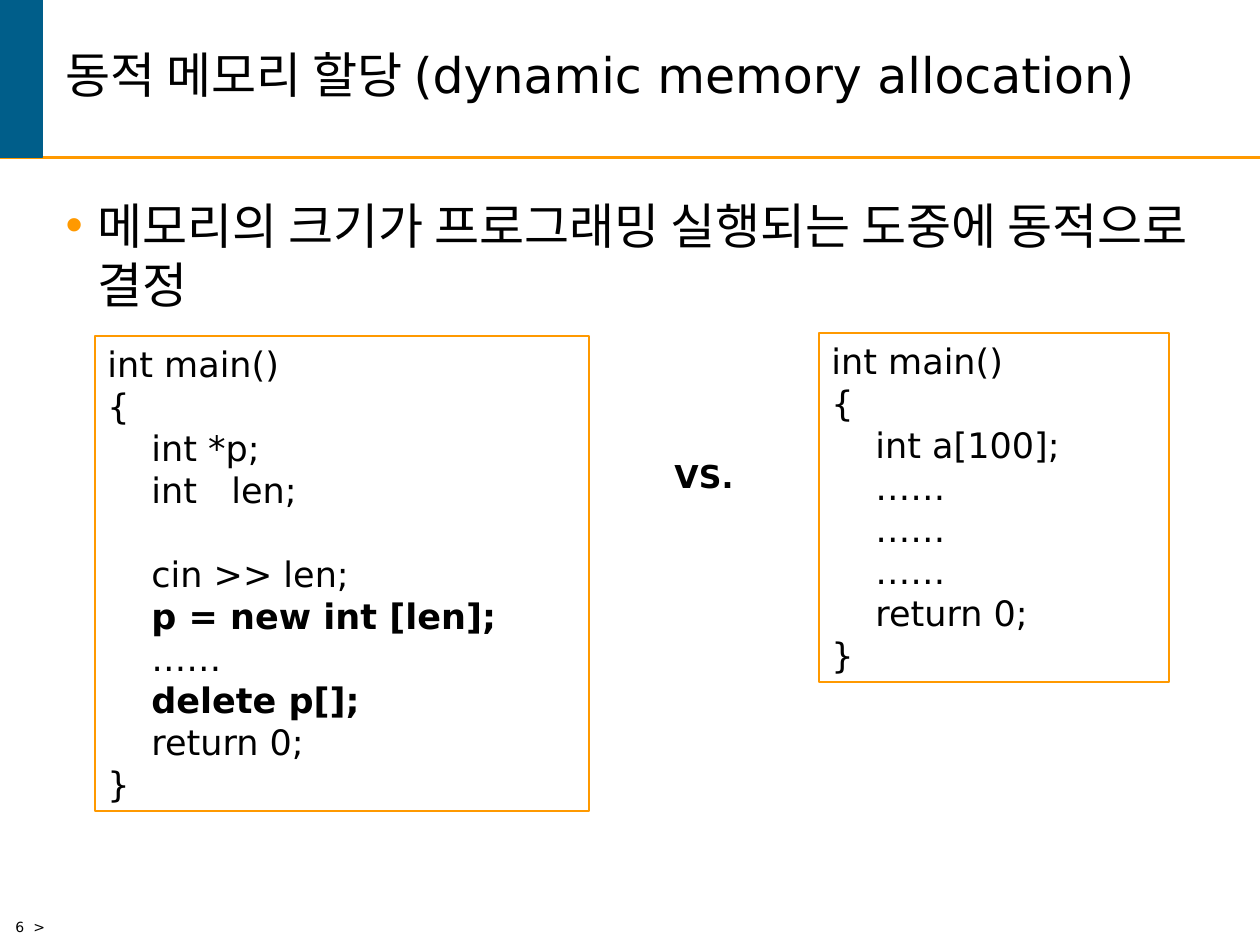
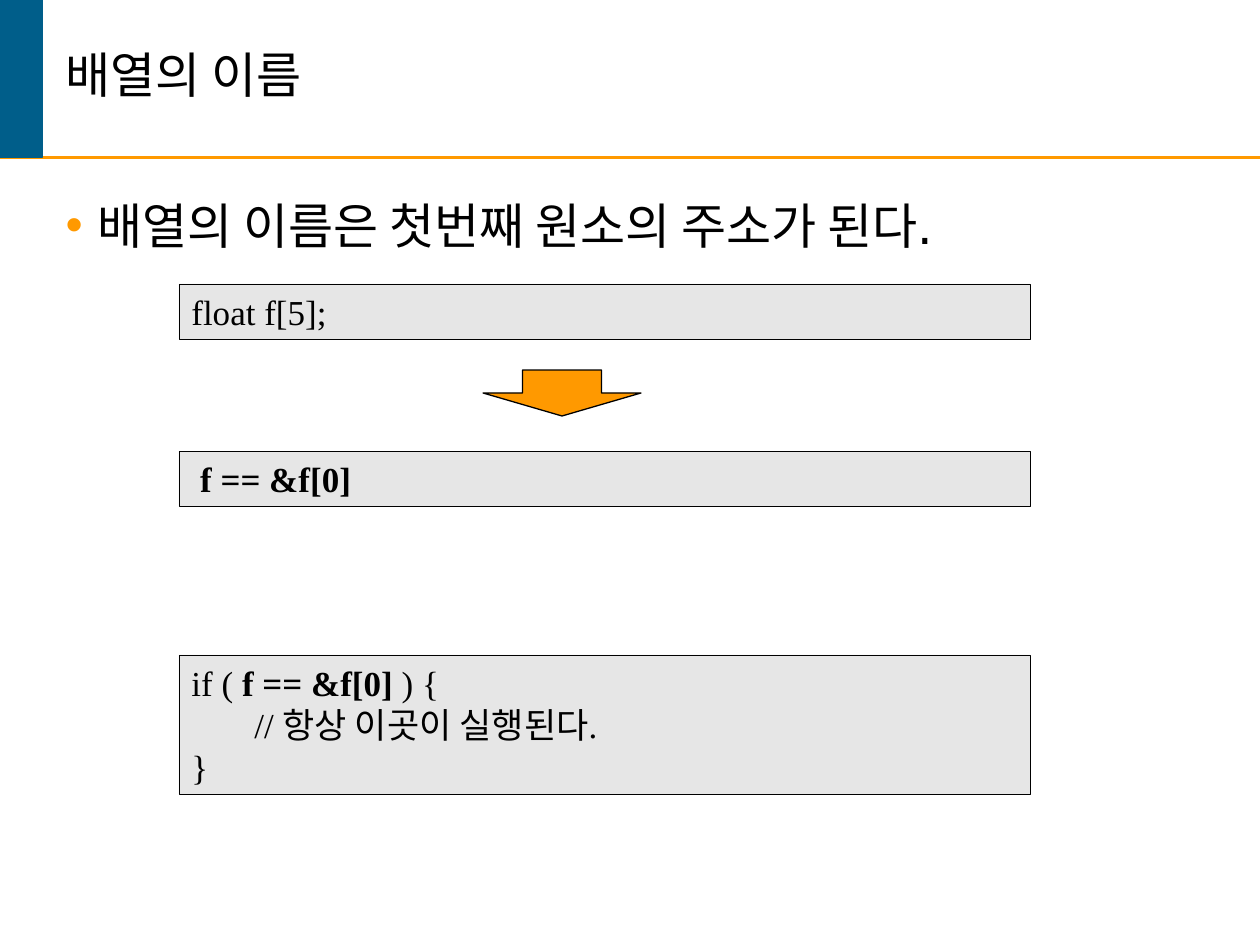
from pptx import Presentation
from pptx.dml.color import RGBColor
from pptx.enum.shapes import MSO_CONNECTOR, MSO_SHAPE
from pptx.enum.text import MSO_ANCHOR, MSO_AUTO_SIZE, PP_ALIGN
from pptx.oxml.ns import qn
from pptx.util import Pt
from lxml.etree import SubElement

SCALE = 914400 / 126
WIDE, HIGH, HEAD = 1260, 945, 157.5
BLACK, BLUE, AMBER, GREY = "000000", "005E8A", "FF9900", "E6E6E6"
SANS, SERIF = "DejaVu Sans", "Times New Roman"


def px(size):
    """Turn pixels into EMU."""
    return round(size * SCALE)


def paint(target, color):
    """Give a fill, line or font colour format a hex colour."""
    target.rgb = RGBColor.from_string(color)


def place(shape, box):
    """Move a shape to a pixel box."""
    shape.left, shape.top, shape.width, shape.height = map(px, box)


def write(shape, lines, size=20, font=SANS, align=PP_ALIGN.LEFT,
          anchor=MSO_ANCHOR.TOP, pitch=1.0, before=0, gaps=None,
          tabs=(), bullet=None, indent=0):
    """Write lines of text, with bold parts between double asterisks."""
    frame = shape.text_frame
    frame.word_wrap = True
    frame.auto_size = MSO_AUTO_SIZE.NONE
    frame.vertical_anchor = anchor
    for row, line in enumerate(lines):
        para = frame.add_paragraph() if row else frame.paragraphs[0]
        para.alignment = align
        para.line_spacing = pitch
        para.space_before = Pt((gaps or {}).get(row, before))
        props = para._p.get_or_add_pPr()
        if bullet:
            props.set("marL", str(px(indent)))
            props.set("indent", str(-px(indent)))
            tint = SubElement(props, qn("a:buClr"))
            SubElement(tint, qn("a:srgbClr"), val=bullet)
            SubElement(props, qn("a:buFont"), typeface="Arial")
            SubElement(props, qn("a:buChar"), char="•")
        if tabs:
            stops = SubElement(props, qn("a:tabLst"))
            for stop in tabs:
                SubElement(stops, qn("a:tab"), pos=str(px(stop)), algn="l")
        for turn, part in enumerate(line.split("**")):
            if part:
                run = para.add_run()
                run.text = part
                run.font.size, run.font.name = Pt(size), font
                run.font.bold = turn % 2 == 1
                paint(run.font.color, BLACK)


def draw(slide, kind, box, fill=None, line=BLACK, width=0.74):
    """Draw a flat preset shape."""
    shape = slide.shapes.add_shape(kind, *map(px, box))
    shape.shadow.inherit = False
    if fill:
        shape.fill.solid()
        paint(shape.fill.fore_color, fill)
    else:
        shape.fill.background()
    paint(shape.line.color, line)
    shape.line.width = Pt(width)
    return shape


def label(slide, box, lines, **style):
    """Add a plain text box."""
    write(slide.shapes.add_textbox(*map(px, box)), lines, **style)


def panel(slide, box, lines, fill=None, line=AMBER, width=0.74, **style):
    """Add a framed box of code."""
    shape = draw(slide, MSO_SHAPE.RECTANGLE, box, fill, line, width)
    write(shape, lines, **style)


def brand(deck, slide):
    """Put the header band and rule on the slide master."""
    rule = slide.shapes.add_connector(
        MSO_CONNECTOR.STRAIGHT, 0, px(HEAD), px(WIDE), px(HEAD))
    paint(rule.line.color, AMBER)
    rule.line.width = Pt(1.5)
    SubElement(rule.element.spPr, qn("a:effectLst"))
    band = draw(slide, MSO_SHAPE.RECTANGLE, (0, 0, 42, HEAD), BLUE, BLUE, 0.99)
    tree = deck.slide_master.shapes.element
    for spot, shape in enumerate((rule, band)):
        shape.element.xpath(".//p:cNvPr")[0].set("id", str(100 + spot))
        tree.insert(2 + spot, shape.element)


def page(deck, title, point, tall):
    """Start a slide with its title and bullet point."""
    slide = deck.slides.add_slide(deck.slide_layouts[1])
    head, body = slide.placeholders
    place(head, (53, 0, 1176, HEAD))
    write(head, [title], size=28, anchor=MSO_ANCHOR.MIDDLE, pitch=0.85)
    place(body, (53, 189, 1176, tall))
    write(body, [point], size=28, before=7, bullet=AMBER, indent=31.5)
    return slide


def versus(slide, box):
    """Set dynamic code beside fixed code."""
    left, top, width, height = box
    stops = (44, 124)
    panel(slide, (left, top + 3, 494, height),
          ["int main()", "{", "\tint *p;", "\tint\tlen;", "\tcin >> len;",
           "\t**p = new int [len];**", "\t……", "\t**delete p[];**",
           "\treturn 0;", "}"], tabs=stops, gaps={4: 24})
    panel(slide, (left + width - 350, top, 350, 349),
          ["int main()", "{", "\tint a[100];", *["\t……"] * 3,
           "\treturn 0;", "}"], tabs=stops)
    label(slide, (left + 525, top + 118, 168, 50), ["**VS.**"],
          size=18, align=PP_ALIGN.CENTER)


def names(slide, box):
    """Stack the grey code boxes and the arrow."""
    left, top, width = box
    blocks = [(0, 55, ["float f[5];"]),
              (167, 55, [" **f == &f[0]**"]),
              (371, 139, ["if ( **f == &f[0]** ) {",
                          "\t// 항상 이곳이 실행된다.", "}"])]
    for down, tall, lines in blocks:
        panel(slide, (left, top + down, width, tall), lines,
              fill=GREY, line=BLACK, width=0.26, font=SERIF)
    draw(slide, MSO_SHAPE.DOWN_ARROW, (left + 304, top + 86, 158, 46), AMBER)


def main():
    """Build and save both slides."""
    deck = Presentation()
    deck.slide_width, deck.slide_height = px(WIDE), px(HIGH)
    first = page(deck, "동적 메모리 할당 (dynamic memory allocation)",
                 "메모리의 크기가 프로그래밍 실행되는 도중에 동적으로 결정", 147)
    brand(deck, first)
    versus(first, (95, 333, 1074, 475))
    label(first, (3, 912, 176, 33), ["6\t>"], size=8, tabs=(18,))
    second = page(deck, "배열의 이름",
                  "배열의 이름은 첫번째 원소의 주소가 된다.", 662)
    names(second, (179, 284, 851))
    deck.save("out.pptx")


main()
